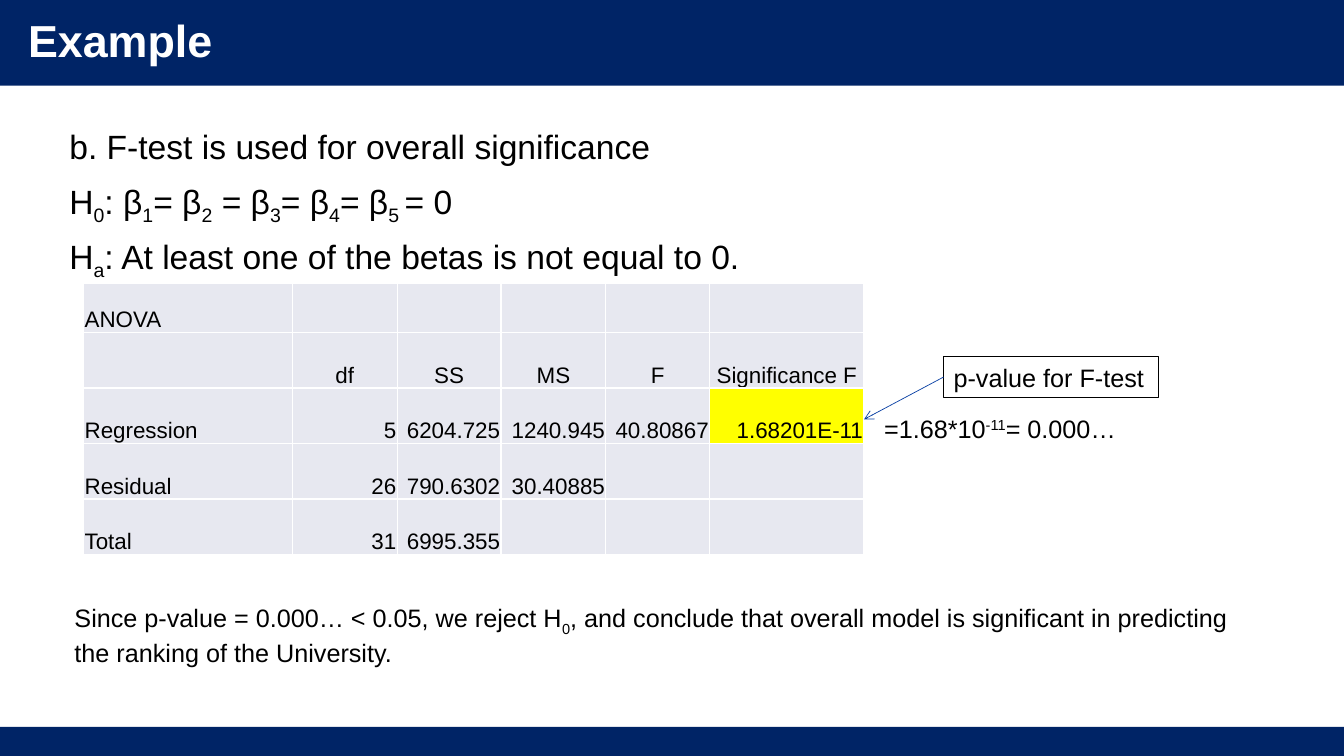
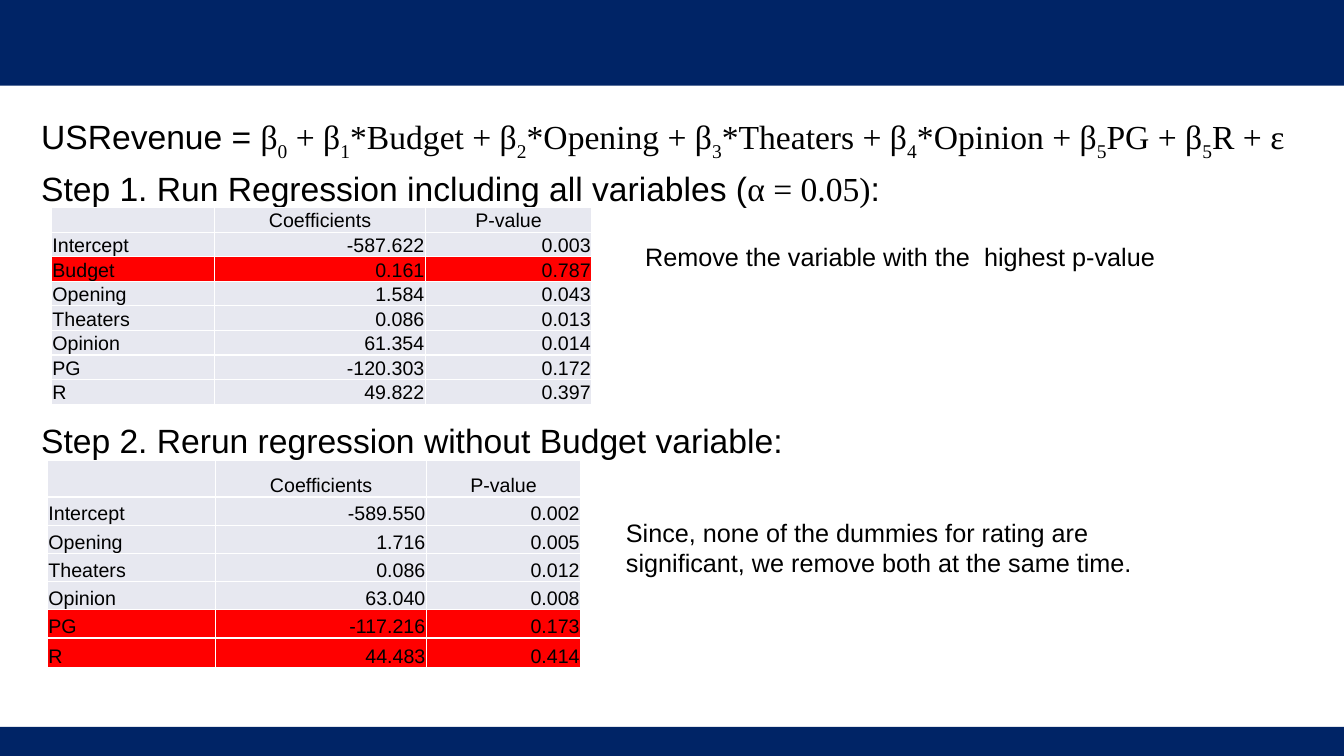
from lxml import etree
from pptx import Presentation
from pptx.dml import color
from pptx.enum import shapes, text
from pptx.oxml import ns
from pptx.util import Inches, Pt

NAVY, WHITE, BLACK = "002466", "FFFFFF", "000000"
CELL, YELLOW, RED, ARROW = "E7E8F0", "FFFF00", "FF0000", "083FA4"
SANS, SERIF = "Arial", "Times New Roman"
SUBSCRIPT, SUPERSCRIPT = -25000, 30000
WIDTH, HEIGHT = 13.33, 7.5


def rgb(value):
    """Turn a hex string into a colour."""
    return color.RGBColor.from_string(value)


def child(parent, tag, **attributes):
    """Append a DrawingML element to its parent."""
    return etree.SubElement(parent, ns.qn(tag), attributes)


def add_run(paragraph, words, size, font=SANS, ink=BLACK, bold=False, shift=0):
    """Add one run; shift raises or lowers it from the baseline."""
    run = paragraph.add_run()
    run.text = words
    run.font.size, run.font.name, run.font.bold = Pt(size), font, bold
    run.font.color.rgb = rgb(ink)
    if shift:
        run.font._element.set("baseline", str(shift))


def add_marked(paragraph, marked, size, font=SANS, ink=BLACK, bold=False,
               shift=SUBSCRIPT):
    """Add runs from words in which |bars| enclose the shifted parts."""
    for index, words in enumerate(marked.split("|")):
        add_run(paragraph, words, size, font, ink, bold, shift * (index % 2))


def add_frame(slide, left, top, width, height):
    """Add an empty wrapping text box and return its text frame."""
    box = slide.shapes.add_textbox(*map(Inches, (left, top, width, height)))
    box.text_frame.word_wrap = True
    return box.text_frame


def add_note(slide, left, top, width, height, marked, shift=SUBSCRIPT):
    """Add an 18-point remark."""
    frame = add_frame(slide, left, top, width, height)
    add_marked(frame.paragraphs[0], marked, 18, shift=shift)


def add_body(slide, left, top, width, height, lines):
    """Add body lines, each a pair of space before and (font, words) spans."""
    frame = add_frame(slide, left, top, width, height)
    for index, (space, spans) in enumerate(lines):
        line = frame.add_paragraph() if index else frame.paragraphs[0]
        line.line_spacing, line.space_before = 0.9, Pt(space)
        for font, marked in spans:
            add_marked(line, marked, 24, font)


def add_box(slide, left, top, width, height, fill=None, line=None):
    """Add a rectangle with an optional fill and outline."""
    box = slide.shapes.add_shape(shapes.MSO_SHAPE.RECTANGLE,
                                 *map(Inches, (left, top, width, height)))
    box.shadow.inherit = False
    if fill:
        box.fill.solid()
        box.fill.fore_color.rgb = rgb(fill)
    else:
        box.fill.background()
    if line:
        box.line.color.rgb, box.line.width = rgb(line), Pt(0.75)
    else:
        box.line.fill.background()
    return box


def add_label(slide, left, top, width, height, words):
    """Add a framed label."""
    frame = add_box(slide, left, top, width, height, line=BLACK).text_frame
    frame.word_wrap = True
    frame.paragraphs[0].alignment = text.PP_ALIGN.LEFT
    add_run(frame.paragraphs[0], words, 18)


def add_arrow(slide, start, end):
    """Add a thin line with an open arrowhead at its end."""
    arrow = slide.shapes.add_connector(shapes.MSO_CONNECTOR.STRAIGHT,
                                       *map(Inches, start + end))
    arrow.line.color.rgb, arrow.line.width = rgb(ARROW), Pt(0.5)
    child(arrow.line._get_or_add_ln(), "a:tailEnd", type="arrow")
    child(arrow._element.spPr, "a:effectLst")


def style_cell(cell, words, size, align, fill):
    """Write a cell and give it white borders and a fill."""
    cell.margin_left = cell.margin_top = cell.margin_right = Inches(0.01)
    cell.margin_bottom = 0
    cell.vertical_anchor = text.MSO_ANCHOR.BOTTOM
    paragraph = cell.text_frame.paragraphs[0]
    paragraph.alignment = align
    if words:
        add_run(paragraph, words, size)
    else:
        child(paragraph._p, "a:endParaRPr", sz=str(size * 100))
    properties = cell._tc.get_or_add_tcPr()
    for side in ("a:lnL", "a:lnR", "a:lnT", "a:lnB"):
        border = child(properties, side, w=str(Pt(1)))
        child(child(border, "a:solidFill"), "a:srgbClr", val=WHITE)
    cell.fill.solid()
    cell.fill.fore_color.rgb = rgb(fill)


def add_results(slide, left, top, columns, heights, rows, size, marks,
                header=0):
    """Add a regression table; marks maps (row, column) to a fill."""
    frame = slide.shapes.add_table(
        len(rows), len(columns),
        *map(Inches, (left, top, sum(columns), sum(heights))))
    table = frame.table
    table.first_row = table.horz_banding = False
    for column, width in zip(table.columns, columns):
        column.width = Inches(width)
    for r, (values, height) in enumerate(zip(rows, heights)):
        table.rows[r].height = Inches(height)
        for c, words in enumerate(values):
            if c == 0:
                align = text.PP_ALIGN.LEFT
            elif r == header:
                align = text.PP_ALIGN.CENTER
            else:
                align = text.PP_ALIGN.RIGHT
            style_cell(table.cell(r, c), words, size, align,
                       marks.get((r, c), CELL))


def new_slide(deck, title=None):
    """Add a slide with the navy bands and an optional title."""
    slide = deck.slides.add_slide(deck.slide_layouts[6])
    add_box(slide, 0, 0, WIDTH, 0.85, fill=NAVY)
    add_box(slide, 0, 7.21, WIDTH, 0.29, fill=NAVY)
    if title:
        frame = add_frame(slide, 0.18, 0.14, 7.82, 0.57)
        frame.vertical_anchor = text.MSO_ANCHOR.MIDDLE
        frame.paragraphs[0].line_spacing = 0.9
        add_run(frame.paragraphs[0], title, 32, ink=WHITE, bold=True)
    return slide


def f_test_slide(deck):
    """Build the slide on the overall F-test."""
    slide = new_slide(deck, "Example")
    add_body(slide, 0.59, 1.25, 12.24, 5.47, [
        (10, [(SANS, "b. F-test is used for overall significance")]),
        (10, [(SANS, "H|0|: β|1|= β|2| = β|3|= β|4|= β|5 |= 0 ")]),
        (10, [(SANS, "H|a|: At least one of the betas is not equal to 0.")]),
    ])
    anova = [
        ("ANOVA", "", "", "", "", ""),
        ("", "df", "SS", "MS", "F", "Significance F"),
        ("Regression", "5", "6204.725", "1240.945", "40.80867", "1.68201E-11"),
        ("Residual", "26", "790.6302", "30.40885", "", ""),
        ("Total", "31", "6995.355", "", "", ""),
    ]
    add_results(slide, 0.83, 2.81, [2.07, 1.04, 1.03, 1.04, 1.03, 1.53],
                [0.49] + [0.55] * 4, anova, 16, {(2, 5): YELLOW}, header=1)
    add_label(slide, 9.36, 3.54, 2.13, 0.4, "p-value for F-test")
    add_arrow(slide, (9.36, 3.74), (8.57, 4.16))
    add_note(slide, 8.67, 4.05, 3.65, 0.4, "=1.68*10|-11|= 0.000…",
             SUPERSCRIPT)
    add_note(slide, 0.64, 5.93, 11.68, 0.71,
             "Since p-value = 0.000… < 0.05, we reject H|0|, and conclude that "
             "overall model is significant in predicting the ranking of the "
             "University.")


def elimination_slide(deck):
    """Build the slide on removing variables step by step."""
    slide = new_slide(deck)
    add_body(slide, 0.31, 1.11, 12.74, 5.47, [
        (10, [(SANS, "USRevenue = "),
              (SERIF, "β|0| + β|1|*Budget + β|2|*Opening + β|3|*Theaters + "
                      "β|4|*Opinion + β|5|PG + β|5|R + ε")]),
        (10, [(SANS, "Step 1. Run Regression including all variables ("),
              (SERIF, "α = 0.05)"), (SANS, ":")]),
        (154, [(SANS, "Step 2. Rerun regression without Budget variable:")]),
    ])
    heading = ("", "Coefficients", "P-value")
    all_variables = [
        heading,
        ("Intercept", "-587.622", "0.003"),
        ("Budget", "0.161", "0.787"),
        ("Opening", "1.584", "0.043"),
        ("Theaters", "0.086", "0.013"),
        ("Opinion", "61.354", "0.014"),
        ("PG", "-120.303", "0.172"),
        ("R", "49.822", "0.397"),
    ]
    without_budget = [
        heading,
        ("Intercept", "-589.550", "0.002"),
        ("Opening", "1.716", "0.005"),
        ("Theaters", "0.086", "0.012"),
        ("Opinion", "63.040", "0.008"),
        ("PG", "-117.216", "0.173"),
        ("R", "44.483", "0.414"),
    ]
    add_results(slide, 0.51, 2.06, [1.62, 2.09, 1.65], [0.22] * 7 + [0.23],
                all_variables, 14, {(2, c): RED for c in range(3)})
    add_note(slide, 6.3, 2.34, 5.28, 0.4,
             "Remove the variable with the  highest p-value ")
    add_note(slide, 6.11, 5.08, 5.28, 0.71,
             "Since, none of the dummies for rating are significant, we remove "
             "both at the same time.  ")
    add_results(slide, 0.47, 4.57, [1.67, 2.09, 1.53],
                [0.36] + [0.28] * 5 + [0.29], without_budget, 14,
                {(r, c): RED for r in (5, 6) for c in range(3)})


def main():
    """Build and save the deck."""
    deck = Presentation()
    deck.slide_width, deck.slide_height = Inches(WIDTH), Inches(HEIGHT)
    f_test_slide(deck)
    elimination_slide(deck)
    deck.save("out.pptx")


main()
